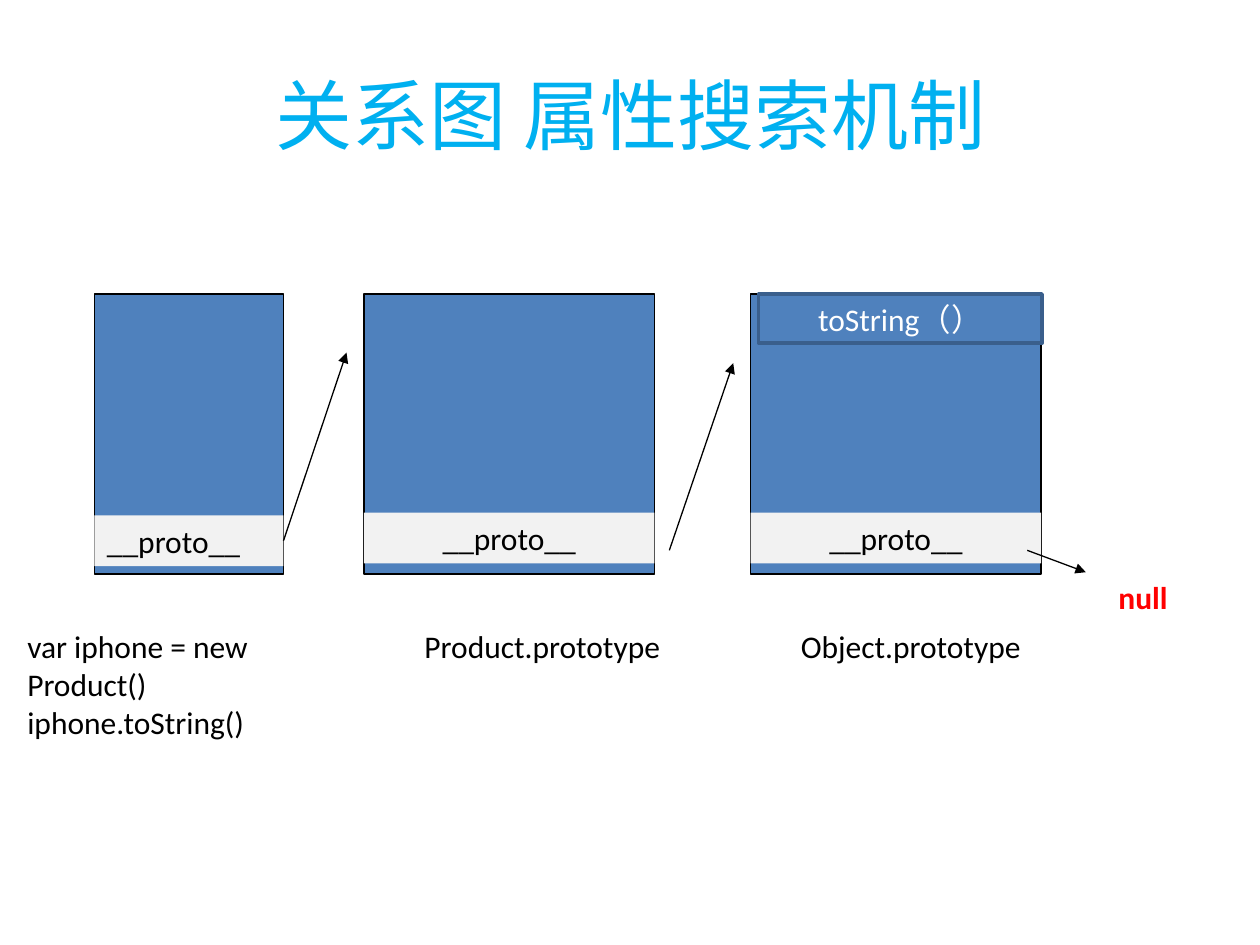
import pptx
import pptx.util
import pptx.dml.color
import pptx.enum.shapes
import pptx.enum.text
import pptx.oxml.ns
from lxml import etree

Pt = pptx.util.Pt
ALIGN = pptx.enum.text.PP_ALIGN
ANCHOR = pptx.enum.text.MSO_ANCHOR


class Theme:
    font = "Calibri"
    title, body = 44, 18
    sky, blue, edge = "00B0F0", "4F81BD", "3A5F8C"
    pale, black, white, red = "F2F2F2", "000000", "FFFFFF", "FF0000"
    thin, thick = 0.75, 2


def rgb(code):
    return pptx.dml.color.RGBColor.from_string(code)


class Board:
    def __init__(self, slide, theme):
        self.slide, self.theme = slide, theme

    def fill_text(self, shape, text, color, size=None, align=ALIGN.LEFT,
                  anchor=ANCHOR.TOP, bold=False):
        frame = shape.text_frame
        frame.text = text
        frame.vertical_anchor = anchor
        for para in frame.paragraphs:
            para.alignment = align
            for run in para.runs:
                run.font.name = self.theme.font
                run.font.size = Pt(size or self.theme.body)
                run.font.bold = bold
                run.font.color.rgb = rgb(color)

    def label(self, at, text, color, wrap=False, **style):
        box = self.slide.shapes.add_textbox(*map(Pt, at))
        self.fill_text(box, text, color, **style)
        box.text_frame.word_wrap = wrap

    def rect(self, at, fill, line=None, width=Theme.thin):
        kind = pptx.enum.shapes.MSO_SHAPE.RECTANGLE
        box = self.slide.shapes.add_shape(kind, *map(Pt, at))
        box.shadow.inherit = False
        box.fill.solid()
        box.fill.fore_color.rgb = rgb(fill)
        if line:
            box.line.color.rgb = rgb(line)
            box.line.width = Pt(width)
        else:
            box.line.fill.background()
        return box

    def arrow(self, start, end, source=None):
        kind = pptx.enum.shapes.MSO_CONNECTOR.STRAIGHT
        link = self.slide.shapes.add_connector(kind, *map(Pt, start + end))
        if source is not None:
            link.begin_connect(source, 3)
        link.line.color.rgb = rgb(self.theme.black)
        link.line.width = Pt(self.theme.thin)
        qn = pptx.oxml.ns.qn
        props = link._element.spPr
        etree.SubElement(props.find(qn("a:ln")), qn("a:tailEnd"), type="triangle")
        etree.SubElement(props, qn("a:effectLst"))


def main():
    deck = pptx.Presentation()
    deck.slide_width, deck.slide_height = Pt(720), Pt(540)
    theme = Theme()
    board = Board(deck.slides.add_slide(deck.slide_layouts[6]), theme)

    # Title
    board.label((36.5, 20, 648, 90), "关系图 属性搜索机制", theme.sky, wrap=True,
                size=theme.title, align=ALIGN.CENTER, anchor=ANCHOR.MIDDLE)

    # Objects, each with its __proto__ slot: left, width, slot top, alignment
    slots = []
    for left, width, top, align in (
        (54, 108, 294.5, ALIGN.LEFT),
        (208, 166, 293, ALIGN.CENTER),
        (429, 166, 293, ALIGN.CENTER),
    ):
        board.rect((left, 168, width, 160), theme.blue, theme.black)
        slot = board.rect((left, top, width, 29), theme.pale)
        board.fill_text(slot, "__proto__", theme.black, align=align)
        slots.append(slot)

    # Method on the last object
    method = board.rect((433.5, 168, 162, 28), theme.blue, theme.edge, theme.thick)
    board.fill_text(method, "toString（）", theme.white,
                    align=ALIGN.CENTER, anchor=ANCHOR.MIDDLE)

    # Prototype chain
    board.arrow((162, 309), (198, 201.5), slots[0])
    board.arrow((382.5, 314.5), (419, 207.5))
    board.arrow((587, 314.5), (620.5, 327))
    board.label((632, 327, 42.5, 29), "null", theme.red, bold=True)

    # Captions
    for left, width, height, text in (
        (8.5, 212.5, 50.5, "var iphone = new Product()\niphone.toString()"),
        (235.5, 149, 29, "Product.prototype"),
        (450.5, 140.5, 29, "Object.prototype"),
    ):
        board.label((left, 355, width, height), text, theme.black)

    deck.save("out.pptx")


if __name__ == "__main__":
    main()
